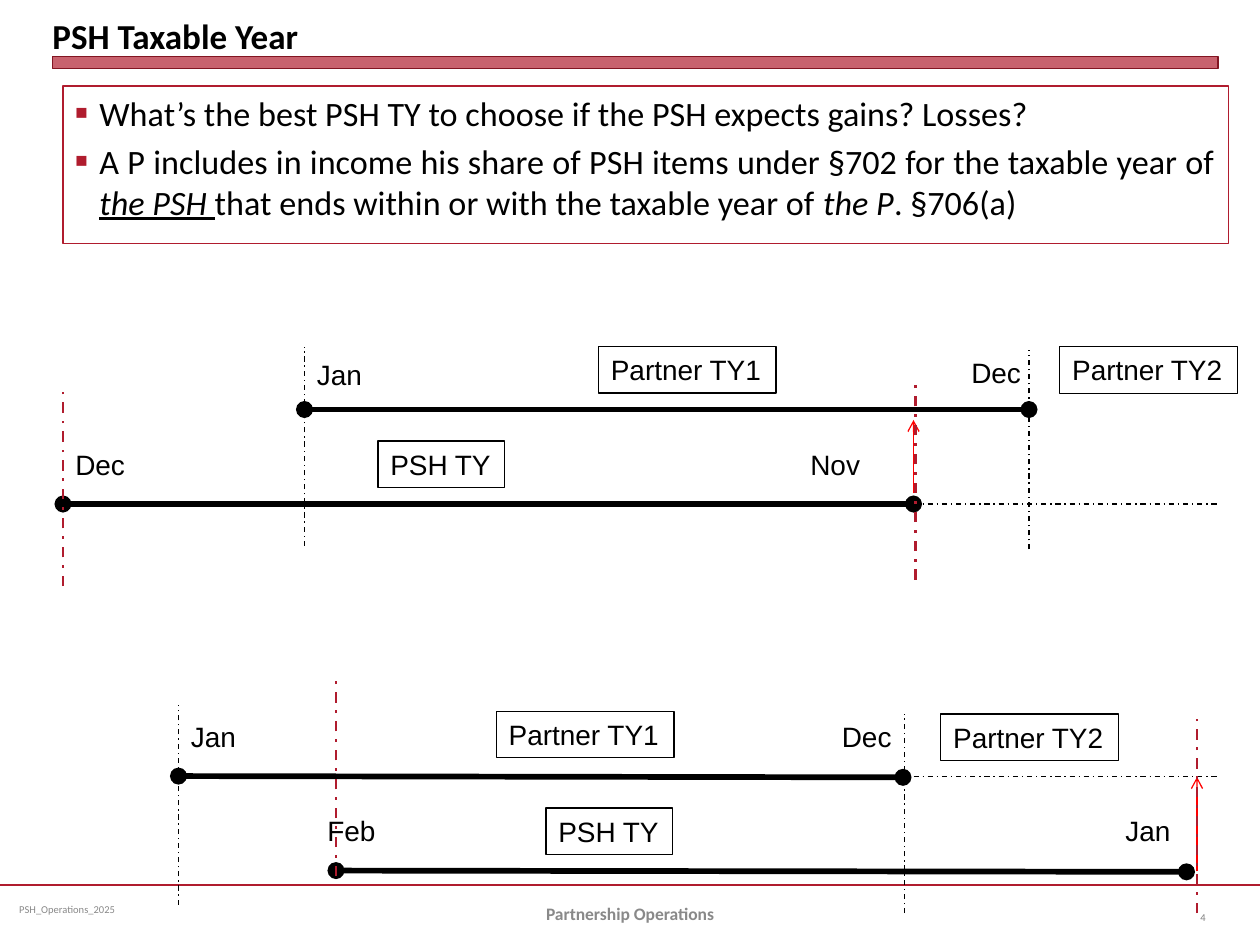
from lxml import etree
from pptx import Presentation
from pptx.dml.color import RGBColor
from pptx.enum.dml import MSO_LINE
from pptx.enum.shapes import MSO_CONNECTOR, MSO_SHAPE
from pptx.enum.text import MSO_ANCHOR, PP_ALIGN
from pptx.oxml.ns import qn
from pptx.util import Pt

STRAIGHT = MSO_CONNECTOR.STRAIGHT
RECTANGLE = MSO_SHAPE.RECTANGLE
DASH_DOT = MSO_LINE.DASH_DOT
TOP, MIDDLE, BOTTOM = MSO_ANCHOR.TOP, MSO_ANCHOR.MIDDLE, MSO_ANCHOR.BOTTOM
LEFT, CENTER, RIGHT, JUSTIFY = PP_ALIGN.LEFT, PP_ALIGN.CENTER, PP_ALIGN.RIGHT, PP_ALIGN.JUSTIFY

BLACK, WHITE, CRIMSON, RED = "000000", "FFFFFF", "B01C2E", "FF0000"
DARK_CRIMSON, GREY, PAGE_GREY = "821522", "898989", "808080"
LABEL_HEIGHT = 26.6
GUIDE_HEIGHT = 114

TITLE = "PSH Taxable Year"
BULLETS = [
    [("What’s the best PSH TY to choose if the PSH expects gains? Losses?", "")],
    [
        ("A P includes in income his share of PSH items under §702 for the taxable year of ", ""),
        ("the PSH ", "iu"),
        ("that ends within or with the taxable year of ", ""),
        ("the P", "i"),
        (". §706(a)", ""),
    ],
]
FOOTERS = [
    ("PSH_Operations_2025", (6, 505.4, 185.8, 28.8), 6, GREY, False, LEFT, 5),
    ("Partnership Operations", (246, 507.6, 228, 28.8), 10, GREY, True, CENTER, 7.2),
    ("4", (660, 509.8, 36, 28.8), 6, PAGE_GREY, False, RIGHT, 7.2),
]
YEAR_BARS = [
    (174, 588, 234, 234),
    (36, 522, 288, 288),
    (102, 516, 443.5, 444.2),
    (192, 678, 497.5, 498.2),
]
MONTHS = [
    ("Jan", 174, 201), ("Dec", 548, 199.5), ("Dec", 36, 252), ("Nov", 456, 252),
    ("Jan", 102, 407.5), ("Dec", 474, 407.5), ("Feb", 180, 461.5), ("Jan", 636, 461.5),
]
MONTH_WIDTHS = {"Jan": 40.3, "Dec": 43.2, "Nov": 43.2, "Feb": 42.5}
YEARS = [
    ("PSH TY", 216, 252), ("Partner TY1", 342, 198), ("Partner TY2", 605.6, 198.2),
    ("Partner TY1", 283.6, 406.5), ("Partner TY2", 537.6, 408), ("PSH TY", 312, 461.7),
]
YEAR_WIDTHS = {"PSH TY": 72.4, "Partner TY1": 101.5, "Partner TY2": 101.5}
EXTENSIONS = [(522, 443.6), (522, 288)]
EXTENSION_END = 696
PARTNER_GUIDES = [(174, 198), (588, 200), (516.7, 407.8), (102, 403)]
PSH_GUIDES = [(36, 221), (192, 386.6), (523, 217.4), (684, 407.8)]
YEAR_END_ARROWS = [(522, 282, 240), (684, 498, 444)]


def color(hex_text):
    return RGBColor.from_string(hex_text)


def add_line(slide, start, end, line_color, width, dash=None, head=None, tail=None):
    points = [Pt(value) for value in (*start, *end)]
    connector = slide.shapes.add_connector(STRAIGHT, *points)
    connector.line.color.rgb = color(line_color)
    connector.line.width = Pt(width)
    if dash:
        connector.line.dash_style = dash
    properties = connector._element.spPr
    outline = connector.line._get_or_add_ln()
    for tag, kind in (("a:headEnd", head), ("a:tailEnd", tail)):
        if kind:
            etree.SubElement(outline, qn(tag)).set("type", kind)
    etree.SubElement(properties, qn("a:effectLst"))


def place(shape, left, top, width, height):
    shape.left, shape.top, shape.width, shape.height = map(Pt, (left, top, width, height))


def add_run(paragraph, text, font_name, size, text_color=BLACK, bold=False, style=""):
    run = paragraph.add_run()
    run.text = text
    font = run.font
    font.name, font.size, font.bold = font_name, Pt(size), bold
    font.italic, font.underline = "i" in style, "u" in style
    font.color.rgb = color(text_color)


def set_frame(shape, anchor, side=7.2, vertical=3.6, wrap=True):
    frame = shape.text_frame
    frame.word_wrap = wrap
    frame.vertical_anchor = anchor
    frame.margin_left = frame.margin_right = Pt(side)
    frame.margin_top = frame.margin_bottom = Pt(vertical)
    return frame


def add_rectangle(slide, box, fill_color, line_color, width):
    rectangle = slide.shapes.add_shape(RECTANGLE, *map(Pt, box))
    rectangle.shadow.inherit = False
    if fill_color:
        rectangle.fill.solid()
        rectangle.fill.fore_color.rgb = color(fill_color)
    else:
        rectangle.fill.background()
    rectangle.line.color.rgb = color(line_color)
    rectangle.line.width = Pt(width)
    return rectangle


def add_label(slide, text, left, top, width, framed=False):
    box = (left, top, width, LABEL_HEIGHT)
    if framed:
        shape = add_rectangle(slide, box, None, BLACK, 0.75)
    else:
        shape = slide.shapes.add_textbox(*map(Pt, box))
    paragraph = set_frame(shape, TOP, wrap=False).paragraphs[0]
    paragraph.alignment = LEFT
    add_run(paragraph, text, "Arial", 16)


def add_bullet(paragraph):
    properties = paragraph._p.get_or_add_pPr()
    properties.set("marL", str(Pt(13.7)))
    properties.set("indent", str(-Pt(13.7)))
    bullet_color = etree.SubElement(properties, qn("a:buClr"))
    etree.SubElement(bullet_color, qn("a:srgbClr")).set("val", CRIMSON)
    etree.SubElement(properties, qn("a:buSzPct")).set("val", "60000")
    etree.SubElement(properties, qn("a:buFont")).set("typeface", "Arial")
    etree.SubElement(properties, qn("a:buChar")).set("char", "■")


def add_header(slide):
    bar = add_rectangle(slide, (30, 32.2, 666, 7), CRIMSON, DARK_CRIMSON, 0)
    bar_color = bar._element.spPr.find(qn("a:solidFill")).find(qn("a:srgbClr"))
    etree.SubElement(bar_color, qn("a:alpha")).set("val", "69000")
    title = slide.shapes.title
    place(title, 30, 3.6, 666, 28.8)
    paragraph = set_frame(title, BOTTOM, 0, 0).paragraphs[0]
    paragraph.alignment = LEFT
    add_run(paragraph, TITLE, "Calibri", 20, bold=True)


def add_footers(slide):
    add_line(slide, (0, 505.6), (720, 505.6), CRIMSON, 1.25)
    for text, box, size, text_color, bold, alignment, side in FOOTERS:
        shape = slide.shapes.add_textbox(*map(Pt, box))
        paragraph = set_frame(shape, MIDDLE, side).paragraphs[0]
        paragraph.alignment = alignment
        add_run(paragraph, text, "Calibri", size, text_color, bold)


def add_timelines(slide):
    for start, end, start_y, end_y in YEAR_BARS:
        add_line(slide, (start, start_y), (end, end_y), BLACK, 3.25, head="oval", tail="oval")
    for text, left, top in MONTHS:
        add_label(slide, text, left, top, MONTH_WIDTHS[text])
    for text, left, top in YEARS:
        add_label(slide, text, left, top, YEAR_WIDTHS[text], framed=True)
    for x, bottom, top in YEAR_END_ARROWS:
        add_line(slide, (x, bottom), (x, top), RED, 0.75, tail="arrow")
    for x, y in EXTENSIONS:
        add_line(slide, (x, y), (EXTENSION_END, y), BLACK, 0.75, DASH_DOT)
    for guides, guide_color, width in ((PARTNER_GUIDES, BLACK, 0.75), (PSH_GUIDES, CRIMSON, 1.5)):
        for x, top in guides:
            add_line(slide, (x, top + GUIDE_HEIGHT), (x, top), guide_color, width, DASH_DOT)


def add_question_box(slide):
    box = add_rectangle(slide, (36, 49.2, 666, 90), WHITE, CRIMSON, 0.75)
    frame = set_frame(box, TOP)
    for index, runs in enumerate(BULLETS):
        paragraph = frame.add_paragraph() if index else frame.paragraphs[0]
        add_bullet(paragraph)
        paragraph.alignment = JUSTIFY
        if index:
            paragraph.space_before = Pt(4)
        for text, style in runs:
            add_run(paragraph, text, "Calibri", 19.5, style=style)


def main():
    presentation = Presentation()
    presentation.slide_width, presentation.slide_height = Pt(720), Pt(540)
    slide = presentation.slides.add_slide(presentation.slide_layouts[5])
    add_header(slide)
    add_footers(slide)
    add_timelines(slide)
    add_question_box(slide)
    presentation.save("out.pptx")


if __name__ == "__main__":
    main()
